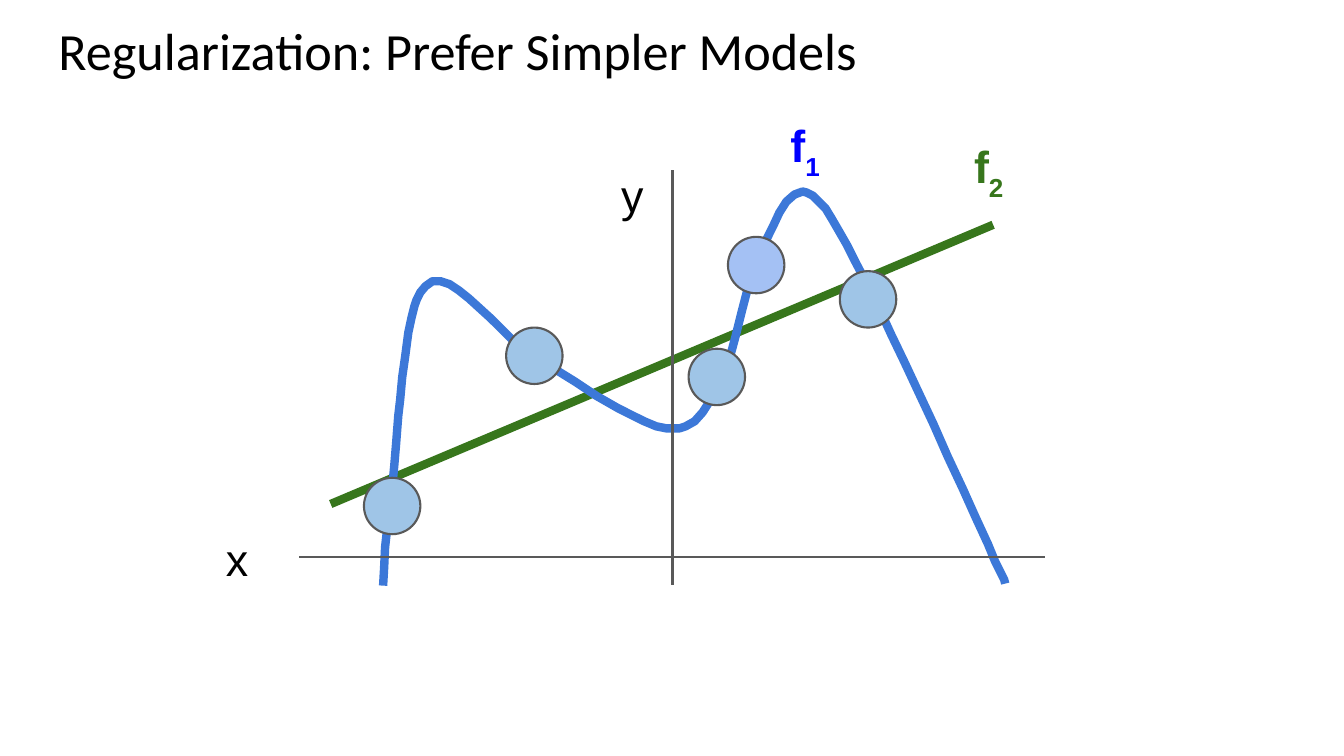
from pptx import Presentation
from pptx.dml.color import RGBColor
from pptx.enum.shapes import MSO_CONNECTOR, MSO_SHAPE
from pptx.enum.text import MSO_ANCHOR
from pptx.oxml.ns import qn
from pptx.util import Inches, Pt
from lxml.etree import SubElement

THEME = {
    "black": RGBColor.from_string("000000"),
    "blue": RGBColor.from_string("0000FF"),
    "green": RGBColor.from_string("37761C"),
    "curve": RGBColor.from_string("3C78D8"),
    "gray": RGBColor.from_string("595959"),
    "dot": RGBColor.from_string("9FC5E7"),
    "odd_dot": RGBColor.from_string("A4C1F4"),
    "title_size": Pt(37.3),
    "label_size": Pt(32),
    "model_width": Pt(6),
    "axis_width": Pt(1.5),
}

deck = Presentation()
deck.slide_width, deck.slide_height = Inches(13.33), Inches(7.5)
page = deck.slides.add_slide(deck.slide_layouts[6])


def add_text(text, left, top, width, height=0.56, size=THEME["label_size"], font="Arial",
             color=THEME["black"], bold=False, subscript="", anchor=MSO_ANCHOR.TOP, spacing=1.0):
    box = page.shapes.add_textbox(Inches(left), Inches(top), Inches(width), Inches(height))
    frame = box.text_frame
    frame.word_wrap = True
    frame.vertical_anchor = anchor
    frame.margin_left = frame.margin_top = Inches(0.02)
    frame.margin_right = frame.margin_bottom = 0
    para = frame.paragraphs[0]
    para.space_before = Pt(1.3)
    para.line_spacing = spacing
    for part in filter(None, (text, subscript)):
        span = para.add_run()
        span.text = part
        span.font.name, span.font.size, span.font.bold = font, size, bold
        span.font.color.rgb = color
    if subscript:
        span._r.get_or_add_rPr().set("baseline", "-31000")


def add_line(start, end, color, width):
    line = page.shapes.add_connector(MSO_CONNECTOR.STRAIGHT, *map(Inches, start + end))
    line.line.color.rgb = color
    line.line.width = width
    SubElement(line._element.spPr, qn("a:effectLst"))


add_line((3.28, 5), (9.85, 2.23), THEME["green"], THEME["model_width"])
add_text("Regularization: Prefer Simpler Models", 0.56, 0.2, 8.75, 0.65, size=THEME["title_size"],
         font="Calibri", anchor=MSO_ANCHOR.MIDDLE, spacing=0.9)

curve_points = [
    (3.8, 5.81), (3.81, 5.64), (3.82, 5.43), (3.84, 5.25), (3.87, 5.01), (3.89, 4.84),
    (3.91, 4.63), (3.93, 4.39), (3.95, 4.13), (3.97, 3.96), (3.99, 3.74), (4.02, 3.53),
    (4.05, 3.3), (4.08, 3.16), (4.11, 3.04), (4.13, 2.98), (4.17, 2.9), (4.22, 2.84),
    (4.29, 2.79), (4.33, 2.79), (4.37, 2.79), (4.46, 2.82), (4.55, 2.88), (4.65, 2.96),
    (4.76, 3.06), (4.87, 3.16), (4.98, 3.27), (5.09, 3.38), (5.2, 3.47), (5.31, 3.54),
    (5.5, 3.66), (5.71, 3.79), (5.92, 3.93), (6.13, 4.05), (6.27, 4.12), (6.39, 4.18),
    (6.51, 4.23), (6.61, 4.25), (6.68, 4.25), (6.74, 4.25), (6.8, 4.23), (6.89, 4.18),
    (6.97, 4.09), (7.04, 3.98), (7.11, 3.85), (7.17, 3.73), (7.22, 3.61), (7.26, 3.47),
    (7.3, 3.32), (7.36, 3.08), (7.42, 2.85), (7.48, 2.65), (7.54, 2.52), (7.6, 2.38),
    (7.67, 2.24), (7.73, 2.11), (7.8, 2), (7.88, 1.93), (7.96, 1.9), (8, 1.91),
    (8.06, 1.94), (8.12, 2), (8.19, 2.07), (8.25, 2.17), (8.32, 2.29), (8.4, 2.43),
    (8.48, 2.59), (8.58, 2.78), (8.73, 3.08), (8.84, 3.32), (8.97, 3.59), (9.11, 3.89),
    (9.26, 4.21), (9.4, 4.53), (9.55, 4.85), (9.68, 5.14), (9.8, 5.4), (9.87, 5.57),
    (9.96, 5.75), (9.97, 5.79),
]
vertices = [(Inches(x), Inches(y)) for x, y in curve_points]
builder = page.shapes.build_freeform(*vertices[0])
builder.add_line_segments(vertices[1:], close=False)
curve = builder.convert_to_shape()
curve.shadow.inherit = False
curve.fill.background()
curve.line.color.rgb = THEME["curve"]
curve.line.width = THEME["model_width"]

add_line((2.97, 5.53), (10.36, 5.53), THEME["gray"], THEME["axis_width"])
add_line((6.67, 1.69), (6.67, 5.8), THEME["gray"], THEME["axis_width"])

diameter = Inches(0.56)
for left, top, color in [
    (3.61, 4.74, "dot"),
    (5.02, 3.25, "dot"),
    (8.33, 2.69, "dot"),
    (6.83, 3.46, "dot"),
    (7.22, 2.35, "odd_dot"),
]:
    dot = page.shapes.add_shape(MSO_SHAPE.OVAL, Inches(left), Inches(top), diameter, diameter)
    dot.shadow.inherit = False
    dot.fill.solid()
    dot.fill.fore_color.rgb = THEME[color]
    dot.line.color.rgb = THEME["gray"]
    dot.line.width = THEME["axis_width"]

add_text("x", 2.22, 5.26, 0.26)
add_text("y", 6.14, 1.64, 0.26)
add_text("f", 7.82, 1.15, 0.35, color=THEME["blue"], bold=True, subscript="1")
add_text("f", 9.64, 1.36, 0.35, color=THEME["green"], bold=True, subscript="2")

deck.save("out.pptx")
